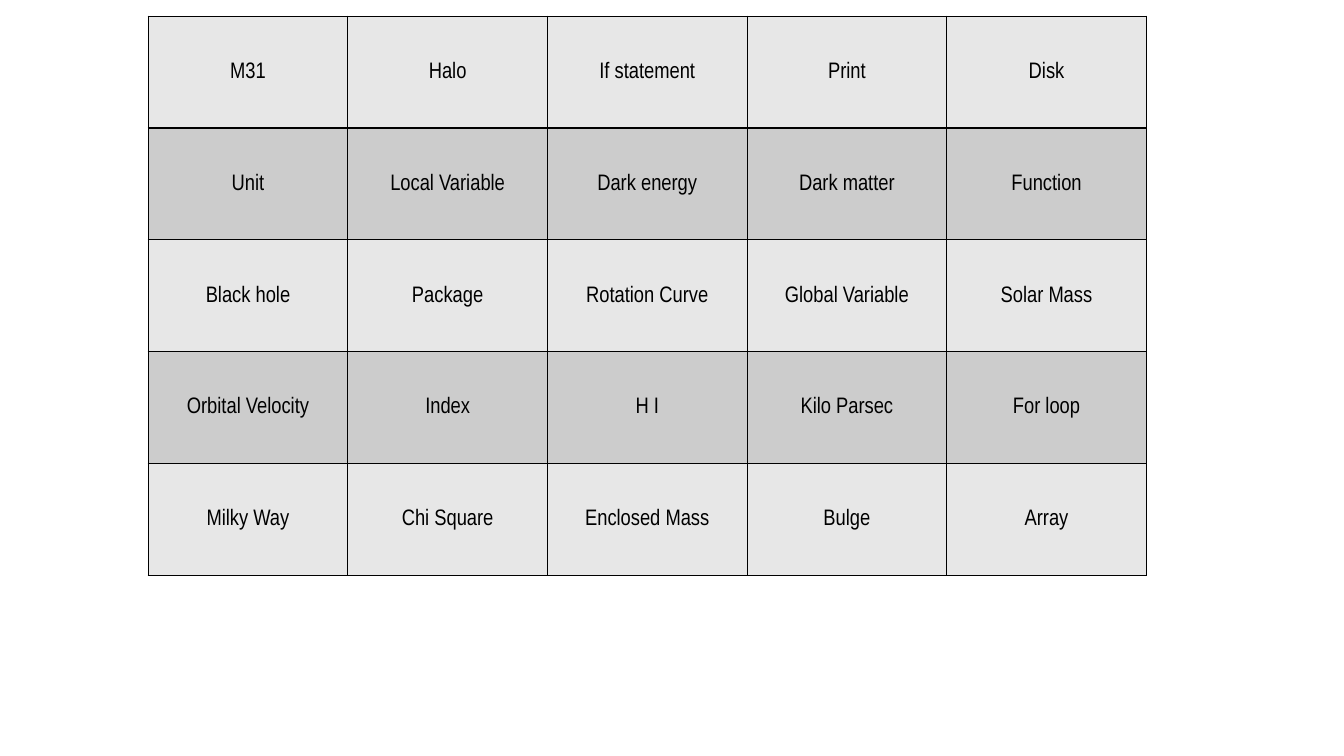
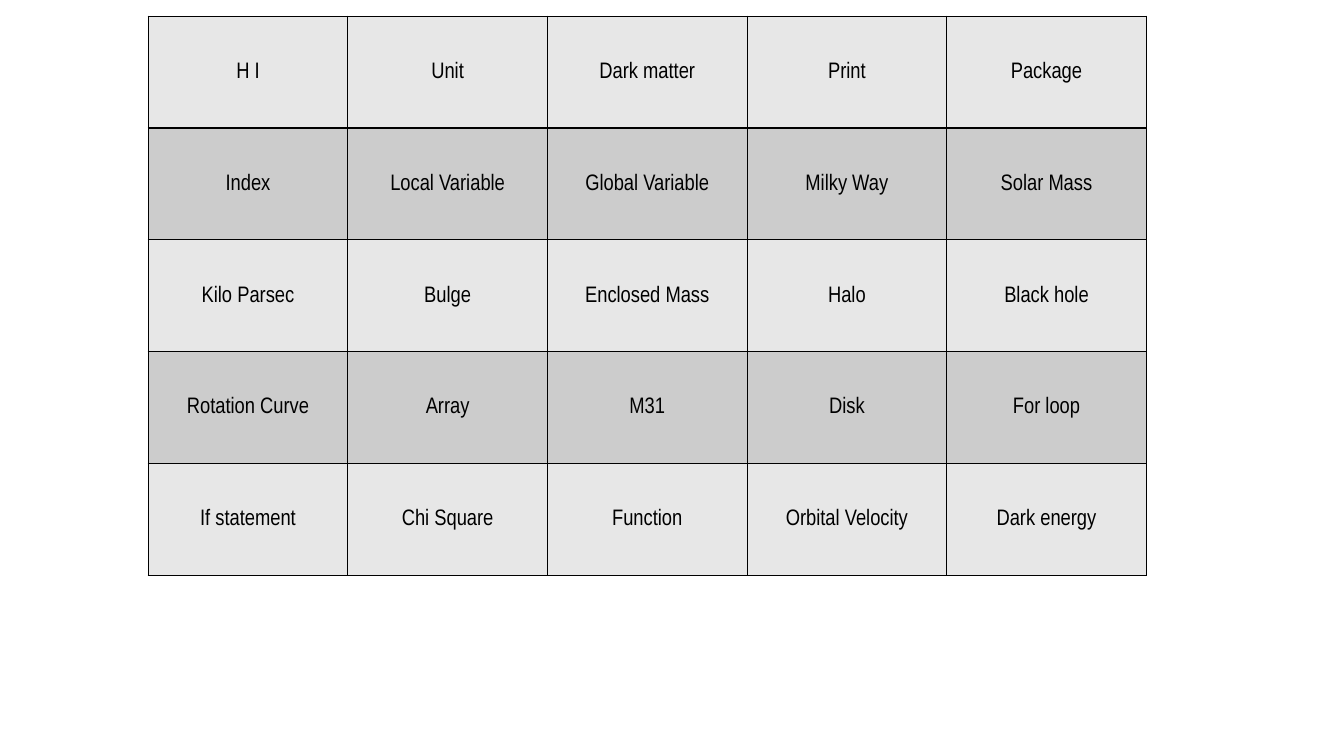
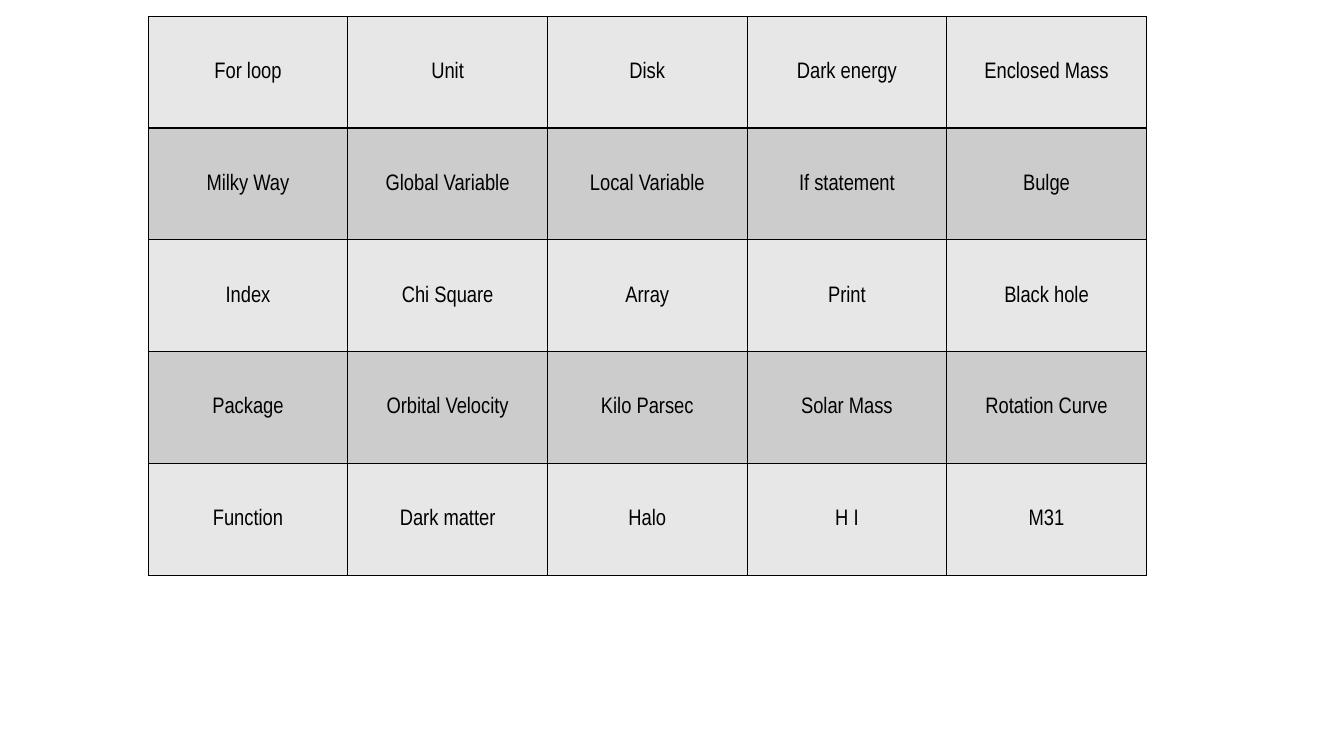
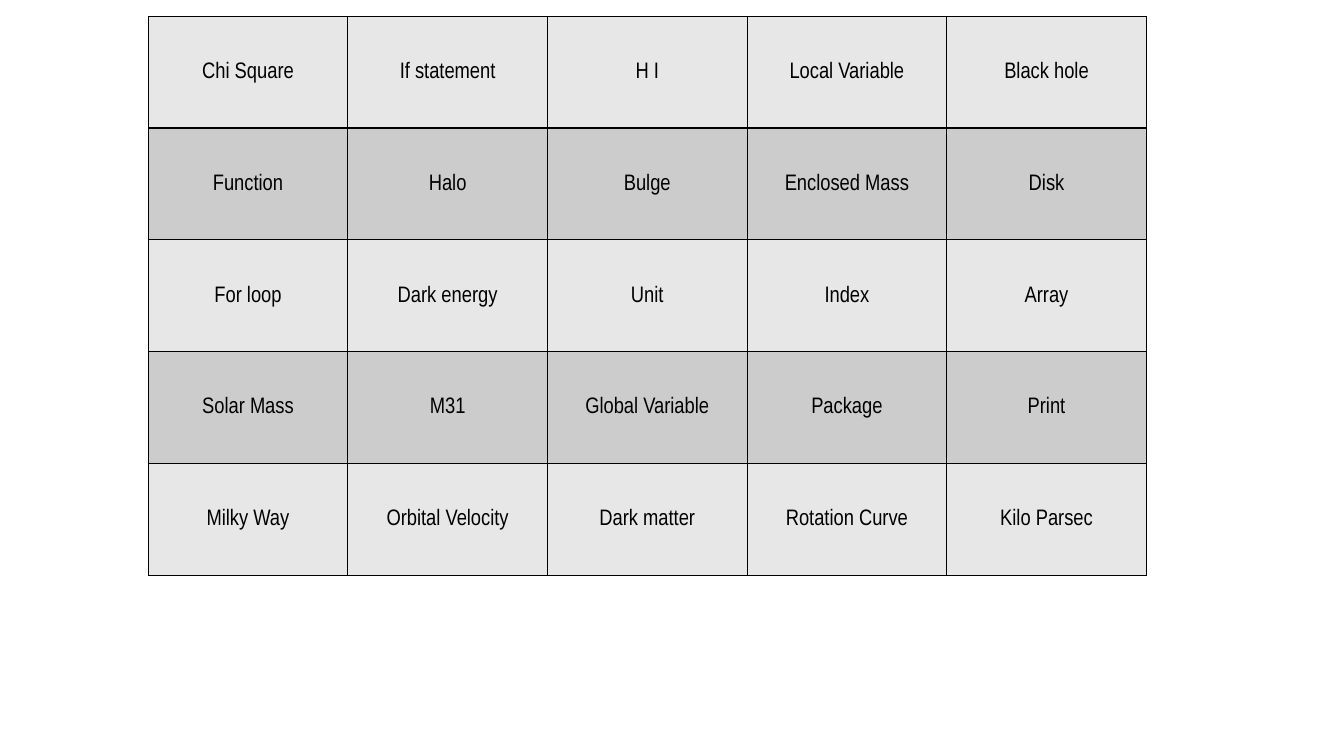
from lxml.etree import SubElement
from pptx import Presentation
from pptx.dml.color import RGBColor
from pptx.enum.text import MSO_ANCHOR, PP_ALIGN
from pptx.oxml.ns import qn
from pptx.util import Pt

PX = 9144
SLIDE_W, SLIDE_H = 1333, 750
CARD_LEFT, CARD_TOP = 147, 16
SQUARE_W, SQUARE_H = 198, 111
GRID = 5
INSET = 1

FONT = "Arial Narrow"
TEXT_SIZE = Pt(16)
BORDER_WIDTH = Pt(1)
BLACK = RGBColor(0x00, 0x00, 0x00)
LIGHT_ROW = RGBColor(0xE7, 0xE7, 0xE7)
DARK_ROW = RGBColor(0xCC, 0xCC, 0xCC)

BINGO_CARDS = [
    [
        ["M31", "Halo", "If statement", "Print", "Disk"],
        ["Unit", "Local Variable", "Dark energy", "Dark matter", "Function"],
        ["Black hole", "Package", "Rotation Curve", "Global Variable", "Solar Mass"],
        ["Orbital Velocity", "Index", "H I", "Kilo Parsec", "For loop"],
        ["Milky Way", "Chi Square", "Enclosed Mass", "Bulge", "Array"],
    ],
    [
        ["H I", "Unit", "Dark matter", "Print", "Package"],
        ["Index", "Local Variable", "Global Variable", "Milky Way", "Solar Mass"],
        ["Kilo Parsec", "Bulge", "Enclosed Mass", "Halo", "Black hole"],
        ["Rotation Curve", "Array", "M31", "Disk", "For loop"],
        ["If statement", "Chi Square", "Function", "Orbital Velocity", "Dark energy"],
    ],
    [
        ["For loop", "Unit", "Disk", "Dark energy", "Enclosed Mass"],
        ["Milky Way", "Global Variable", "Local Variable", "If statement", "Bulge"],
        ["Index", "Chi Square", "Array", "Print", "Black hole"],
        ["Package", "Orbital Velocity", "Kilo Parsec", "Solar Mass", "Rotation Curve"],
        ["Function", "Dark matter", "Halo", "H I", "M31"],
    ],
    [
        ["Chi Square", "If statement", "H I", "Local Variable", "Black hole"],
        ["Function", "Halo", "Bulge", "Enclosed Mass", "Disk"],
        ["For loop", "Dark energy", "Unit", "Index", "Array"],
        ["Solar Mass", "M31", "Global Variable", "Package", "Print"],
        ["Milky Way", "Orbital Velocity", "Dark matter", "Rotation Curve", "Kilo Parsec"],
    ],
]


def add_borders(square):
    properties = square._tc.get_or_add_tcPr()
    for side in ("lnL", "lnR", "lnT", "lnB"):
        line = SubElement(properties, qn(f"a:{side}"), w=str(BORDER_WIDTH))
        solid = SubElement(line, qn("a:solidFill"))
        SubElement(solid, qn("a:srgbClr"), val=str(BLACK))


def fill_square(square, term, color):
    add_borders(square)
    square.fill.solid()
    square.fill.fore_color.rgb = color
    square.vertical_anchor = MSO_ANCHOR.MIDDLE
    square.margin_left = square.margin_right = square.margin_top = INSET * PX
    square.margin_bottom = 0
    square.text_frame.text = term
    paragraph = square.text_frame.paragraphs[0]
    paragraph.alignment = PP_ALIGN.CENTER
    font = paragraph.runs[0].font
    font.name = FONT
    font.size = TEXT_SIZE
    font.color.rgb = BLACK


prs = Presentation()
prs.slide_width = SLIDE_W * PX
prs.slide_height = SLIDE_H * PX
blank = prs.slide_layouts[6]

for terms in BINGO_CARDS:
    slide = prs.slides.add_slide(blank)
    card = slide.shapes.add_table(
        GRID, GRID, CARD_LEFT * PX, CARD_TOP * PX,
        GRID * SQUARE_W * PX, GRID * SQUARE_H * PX,
    ).table
    card.first_row = False
    card.horz_banding = False
    for row, row_terms in enumerate(terms):
        color = DARK_ROW if row % 2 else LIGHT_ROW
        for col, term in enumerate(row_terms):
            fill_square(card.cell(row, col), term, color)

prs.save("out.pptx")
